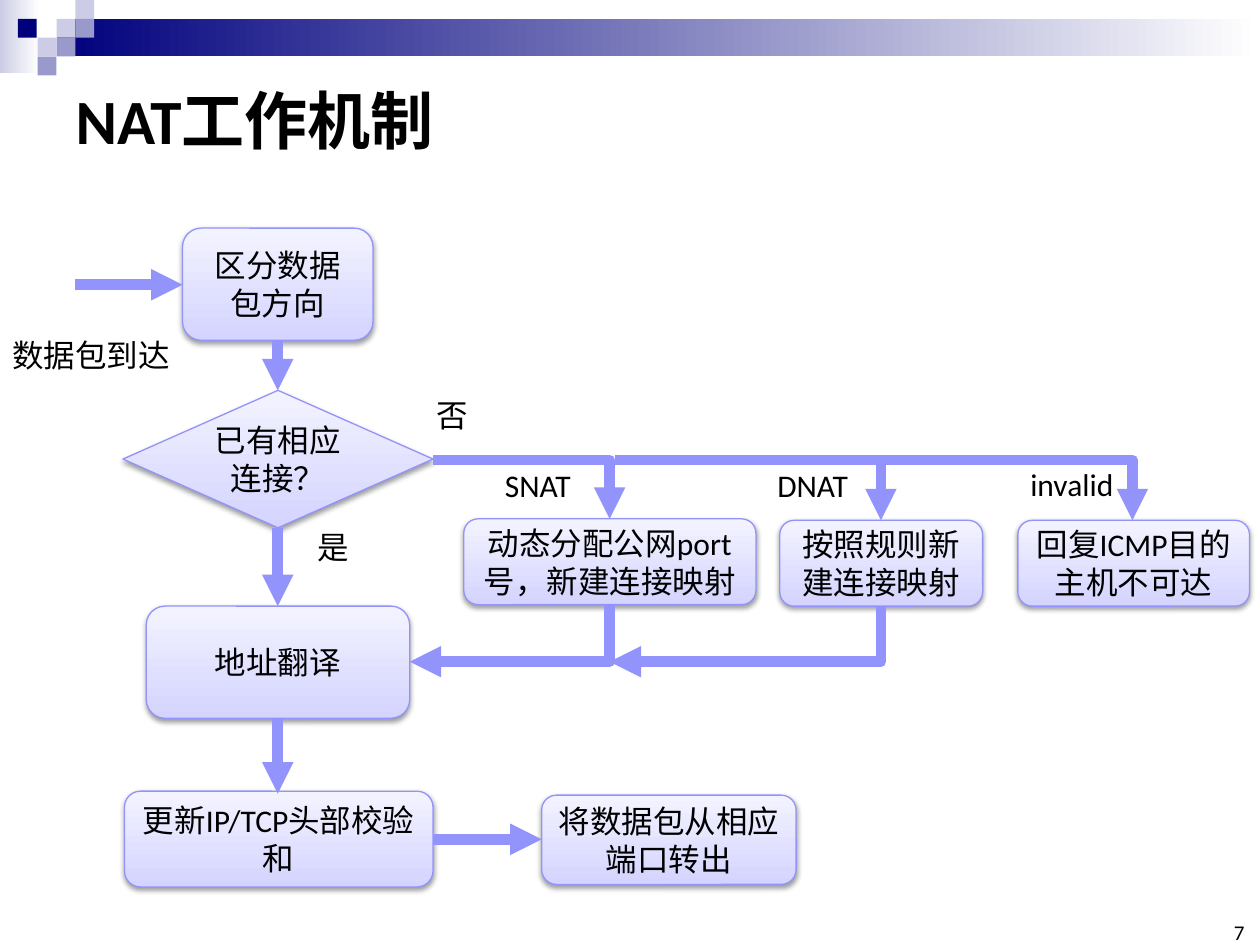
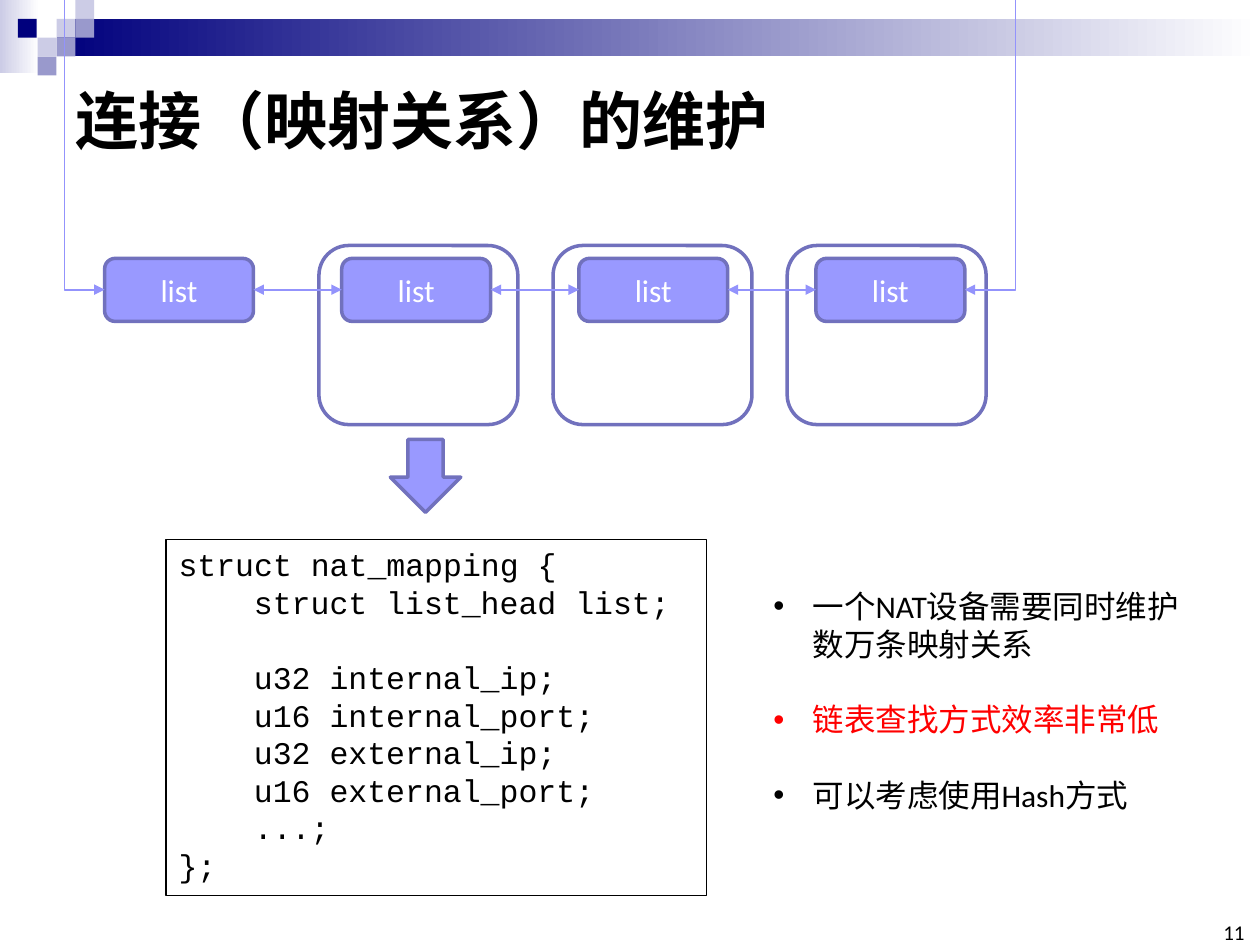
from lxml import etree
from pptx import Presentation
from pptx.dml.color import RGBColor
from pptx.enum.shapes import MSO_CONNECTOR, MSO_SHAPE
from pptx.enum.text import MSO_ANCHOR, PP_ALIGN
from pptx.oxml.ns import qn
from pptx.util import Cm, Pt

RECT, ROUNDED = MSO_SHAPE.RECTANGLE, MSO_SHAPE.ROUNDED_RECTANGLE
DIAMOND, DOWN_ARROW = MSO_SHAPE.DIAMOND, MSO_SHAPE.DOWN_ARROW
STRAIGHT = MSO_CONNECTOR.STRAIGHT
LEFT, CENTER, RIGHT = PP_ALIGN.LEFT, PP_ALIGN.CENTER, PP_ALIGN.RIGHT
MIDDLE, BOTTOM = MSO_ANCHOR.MIDDLE, MSO_ANCHOR.BOTTOM

HEX = {
    "black": "000000", "white": "FFFFFF", "red": "FF0000",
    "navy": "00007D", "slate": "9999CC", "mist": "CCCCE6",
    "node": "9999FF", "node edge": "7171BD", "arrow": "9393FC",
    "box low": "D4D4FF", "box high": "F3F3FF",
}
COLOR = {name: RGBColor.from_string(value) for name, value in HEX.items()}
FONT, CODE_FONT = "Calibri", "Courier New"


def add_panel(slide, kind, at, fill=None, line=None, width=0.75, angle=0, text="", ink="black"):
    """Add a shape with no, plain or two-colour fill and optional centred text."""
    panel = slide.shapes.add_shape(kind, *[Cm(length) for length in at])
    panel.shadow.inherit = False
    if fill is None:
        panel.fill.background()
    elif isinstance(fill, tuple):
        panel.fill.gradient()
        panel.fill.gradient_angle = angle
        for stop, name in zip(panel.fill.gradient_stops, fill):
            stop.color.rgb = COLOR[name]
    else:
        panel.fill.solid()
        panel.fill.fore_color.rgb = COLOR[fill]
    if line:
        panel.line.color.rgb = COLOR[line]
        panel.line.width = Pt(width)
    else:
        panel.line.fill.background()
    if text:
        panel.text_frame.word_wrap = True
        panel.text_frame.vertical_anchor = MIDDLE
        para = panel.text_frame.paragraphs[0]
        para.alignment = CENTER
        span = para.add_run()
        span.text = text
        span.font.name, span.font.size = FONT, Pt(18)
        span.font.color.rgb = COLOR[ink]
    return panel


def draw_arrow(slide, points, width, ends=("tailEnd",)):
    """Draw an arrow through the points: a connector, or an outline if it bends."""
    points = [(Cm(x), Cm(y)) for x, y in points]
    if len(points) == 2:
        arrow = slide.shapes.add_connector(STRAIGHT, *points[0], *points[1])
        etree.SubElement(arrow.element.spPr, qn("a:effectLst"))
    else:
        builder = slide.shapes.build_freeform(*points[0])
        builder.add_line_segments(points[1:], close=False)
        arrow = builder.convert_to_shape()
        arrow.shadow.inherit = False
        arrow.fill.background()
    arrow.line.color.rgb = COLOR["arrow"]
    arrow.line.width = Pt(width)
    outline = arrow.element.spPr.find(qn("a:ln"))
    etree.SubElement(outline, qn("a:round"))
    for end in ends:
        etree.SubElement(outline, qn("a:" + end)).set("type", "triangle")


deck = Presentation()
deck.slide_width, deck.slide_height = Cm(25.4), Cm(19.05)

# Titles and page numbers
slides = []
for title, number in [("NAT工作机制", "7"), ("连接（映射关系）的维护", "11")]:
    slide = deck.slides.add_slide(deck.slide_layouts[5])
    slides.append(slide)
    heading = slide.shapes.title
    heading.left, heading.top = Cm(1.27), Cm(1.27)
    heading.width, heading.height = Cm(22.86), Cm(2.26)
    heading.text_frame.vertical_anchor = MIDDLE
    footer = slide.shapes.add_textbox(Cm(24.51), Cm(18.62), Cm(0.58), Cm(0.43))
    frame = footer.text_frame
    frame.margin_left = frame.margin_right = frame.margin_top = frame.margin_bottom = 0
    frame.word_wrap = True
    frame.vertical_anchor = BOTTOM
    for box, text, size, align in [(heading, title, 36, LEFT), (footer, number, 12, RIGHT)]:
        para = box.text_frame.paragraphs[0]
        para.alignment = align
        span = para.add_run()
        span.text = text
        span.font.name, span.font.size = FONT, Pt(size)
        span.font.bold = box is heading
        span.font.color.rgb = COLOR["black"]
flow, chain = slides

# Band and squares, moved to the master so that both slides share them
bands = [
    ((0, 0, 0.79, 1.47), ("mist", "white")),
    ((1.14, 0.38, 24.26, 0.76), ("navy", "white")),
]
squares = [
    (1.14, 0.38, "mist"), (1.52, 0, "mist"), (1.52, 0.38, "slate"), (0.76, 0.76, "mist"),
    (0.36, 0.38, "navy"), (1.14, 0.76, "slate"), (0.76, 1.14, "slate"),
]
bands += [((x, y, 0.38, 0.38), color) for x, y, color in squares]
for place, (at, fill) in enumerate(bands, start=2):
    band = add_panel(flow, RECT, at, fill)
    deck.slide_master.shapes.element.insert(place, band.element)

# Slide 1: flow chart
steps = [
    (ROUNDED, (3.68, 4.6, 3.84, 2.26), "区分数据包方向"),
    (DIAMOND, (2.48, 7.87, 6.25, 2.77), "已有相应连接？"),
    (ROUNDED, (2.95, 12.22, 5.31, 2.26), "地址翻译"),
    (ROUNDED, (2.51, 15.95, 6.22, 1.93), "更新IP/TCP头部校验和"),
    (ROUNDED, (10.92, 16.03, 5.13, 1.8), "将数据包从相应端口转出"),
    (ROUNDED, (9.35, 10.46, 5.89, 1.73), "动态分配公网port号，新建连接映射"),
    (ROUNDED, (15.72, 10.49, 4.09, 1.73), "按照规则新建连接映射"),
    (ROUNDED, (20.52, 10.49, 4.67, 1.73), "回复ICMP目的主机不可达"),
]
for kind, at, text in steps:
    step = add_panel(flow, kind, at, ("box low", "box high"), "arrow", angle=90, text=text)
    effects = step.element.spPr.find(qn("a:effectLst"))
    shadow = etree.SubElement(effects, qn("a:outerShdw"), blurRad=str(Pt(3.1)),
                              dist=str(Pt(1.6)), dir="5400000", rotWithShape="0")
    tint = etree.SubElement(shadow, qn("a:srgbClr"), val=HEX["black"])
    etree.SubElement(tint, qn("a:alpha"), val="38000")

main_x, snat_x, dnat_x, invalid_x = 5.6, 12.29, 17.76, 22.83
branch_y, return_y = 9.27, 13.34
routes = [
    [(1.52, 5.74), (3.68, 5.74)],
    [(main_x, 6.86), (main_x, 7.87)],
    [(main_x, 10.64), (main_x, 12.22)],
    [(main_x, 14.48), (main_x, 16)],
    [(8.73, 16.92), (10.92, 16.92)],
    [(8.73, branch_y), (snat_x, branch_y), (snat_x, 10.46)],
    [(12.4, branch_y), (dnat_x, branch_y), (dnat_x, 10.49)],
    [(17.55, branch_y), (invalid_x, branch_y), (invalid_x, 10.49)],
    [(snat_x, 12.19), (snat_x, return_y), (8.26, return_y)],
    [(dnat_x, 12.22), (dnat_x, return_y), (snat_x, return_y)],
]
for route in routes:
    draw_arrow(flow, route, 6)

labels = [
    (0, 6.65, 3.8, "数据包到达"), (8.56, 7.85, 1.4, "否"), (6.15, 10.52, 1.4, "是"),
    (9.93, 9.27, 2, "SNAT"), (15.42, 9.27, 2.1, "DNAT"), (20.52, 9.25, 2.4, "invalid"),
]
for x, y, width, text in labels:
    label = flow.shapes.add_textbox(Cm(x), Cm(y), Cm(width), Cm(1.02))
    label.text_frame.word_wrap = True
    span = label.text_frame.paragraphs[0].add_run()
    span.text = text
    span.font.name, span.font.size = FONT, Pt(18)
    span.font.color.rgb = COLOR["black"]

# Slide 2: linked list
node_x, node_step, node_width, link_y = 2.11, 4.78, 3, 5.84
for i in range(3):
    add_panel(chain, ROUNDED, (6.43 + 4.72 * i, 4.95, 4.01, 3.61), None, "node edge", 2)
for i in range(4):
    add_panel(chain, ROUNDED, (node_x + node_step * i, 5.21, node_width, 1.27),
              "node", "node edge", 2, text="list", ink="white")
for i in range(3):
    start = node_x + node_step * i + node_width
    link = [(start, link_y), (node_x + node_step * (i + 1), link_y)]
    draw_arrow(chain, link, 1, ("headEnd", "tailEnd"))
last_x = node_x + node_step * 3 + node_width
for outer_x, inner_x in [(1.3, node_x), (20.47, last_x)]:
    draw_arrow(chain, [(outer_x, 0), (outer_x, link_y), (inner_x, link_y)], 1)
add_panel(chain, DOWN_ARROW, (7.87, 8.86, 1.42, 1.47), "node", "node edge", 2)

# Slide 2: structure of one entry, as (text, indented, gap above)
code_lines = [
    ("struct nat_mapping {", False, 0), ("struct list_head list;", True, 0),
    ("u32 internal_ip;", True, 21.5), ("u16 internal_port;", True, 0),
    ("u32 external_ip;", True, 0), ("u16 external_port;", True, 0),
    ("...;", True, 0), ("};", False, 0),
]
code = add_panel(chain, RECT, (3.35, 10.87, 10.9, 7.19), None, "black")
code.text_frame.word_wrap = True
code.text_frame.vertical_anchor = MSO_ANCHOR.TOP
for i, (text, indented, gap) in enumerate(code_lines):
    para = code.text_frame.add_paragraph() if i else code.text_frame.paragraphs[0]
    para.alignment = LEFT
    para.line_spacing = Pt(21.5)
    para.space_before = Pt(gap)
    if indented:
        para._p.get_or_add_pPr().set("marL", str(Cm(1.52)))
    span = para.add_run()
    span.text = text
    span.font.name, span.font.size = CODE_FONT, Pt(18)
    span.font.color.rgb = COLOR["black"]

# Slide 2: remarks
remarks = [
    ("一个NAT设备需要同时维护数万条映射关系", "black"),
    ("链表查找方式效率非常低", "red"),
    ("可以考虑使用Hash方式", "black"),
]
notes = chain.shapes.add_textbox(Cm(15.34), Cm(11.71), Cm(9.3), Cm(4.88))
notes.text_frame.word_wrap = True
for i, (text, color) in enumerate(remarks):
    para = notes.text_frame.add_paragraph() if i else notes.text_frame.paragraphs[0]
    para.space_before = Pt(21.6 if i else 0)
    properties = para._p.get_or_add_pPr()
    properties.set("marL", str(Cm(0.79)))
    properties.set("indent", str(Cm(-0.79)))
    etree.SubElement(properties, qn("a:buFont"), typeface="Arial")
    etree.SubElement(properties, qn("a:buChar"), char="•")
    span = para.add_run()
    span.text = text
    span.font.name, span.font.size = FONT, Pt(18)
    span.font.color.rgb = COLOR[color]

deck.save("out.pptx")
